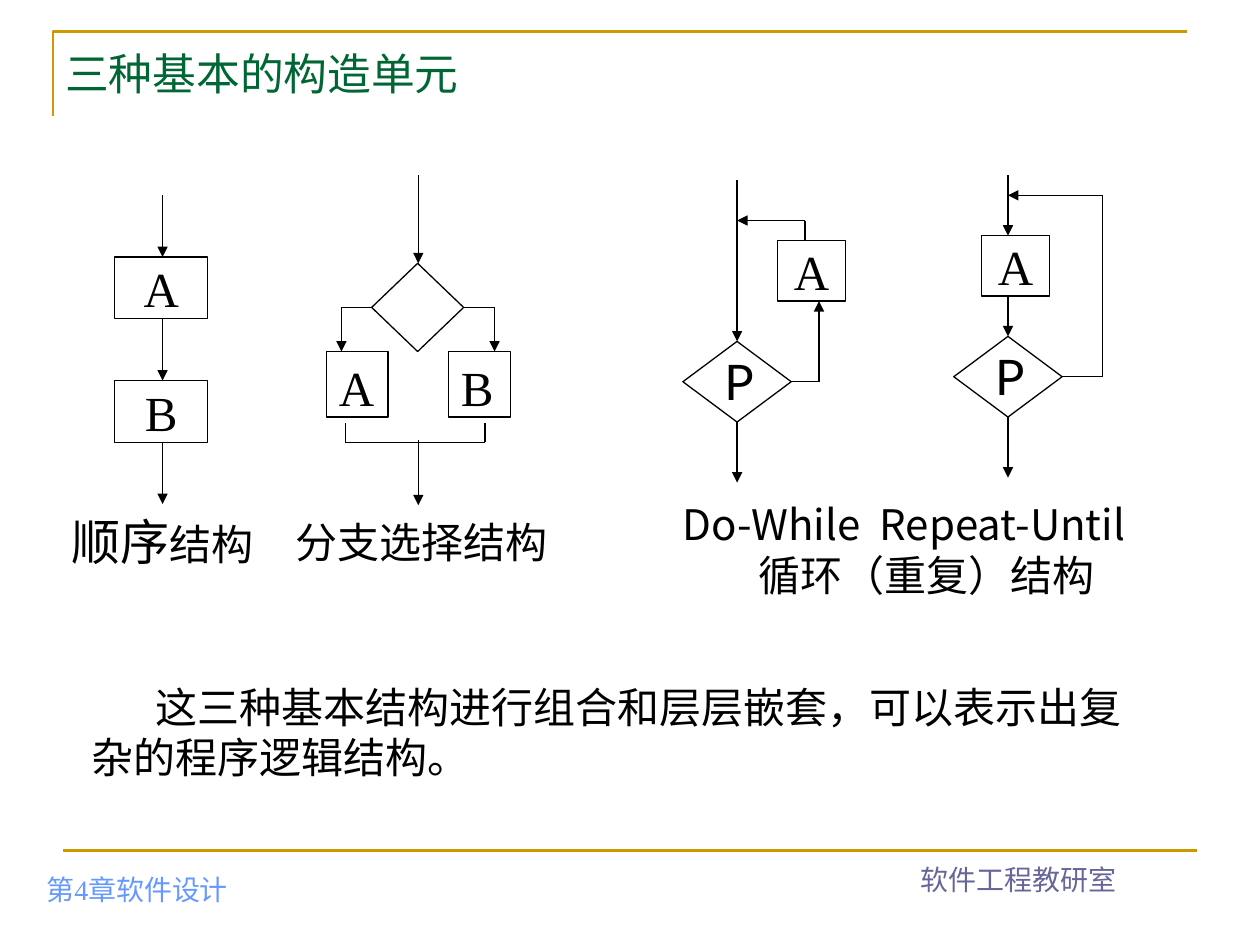
import pptx
import pptx.util
import pptx.dml.color
import pptx.enum.shapes
import pptx.enum.text
import pptx.oxml.ns
from itertools import pairwise
from lxml import etree

RGBColor = pptx.dml.color.RGBColor
GOLD = RGBColor(0xCC, 0x99, 0x00)
GREEN = RGBColor(0x00, 0x66, 0x33)
BLUE = RGBColor(0x66, 0x99, 0xFF)
VIOLET = RGBColor(0x66, 0x66, 0x99)
BLACK = RGBColor(0, 0, 0)

SERIF, SANS, LATO = "Times New Roman", "Noto Sans CJK SC", "Lato"
SHAPE = pptx.enum.shapes.MSO_SHAPE
ALIGN = pptx.enum.text.PP_ALIGN
ANCHOR = pptx.enum.text.MSO_ANCHOR
Pt = pptx.util.Pt

WIDTH, HEIGHT = pptx.util.Inches(10), pptx.util.Inches(7.5)
COLUMNS, ROWS = 100, 75


def col(n):
    return round(WIDTH * n / COLUMNS)


def row(n):
    return round(HEIGHT * n / ROWS)


def area(left, top, width, height):
    return col(left), row(top), col(width), row(height)


def add_effect_free(connector):
    etree.SubElement(connector._element.spPr, pptx.oxml.ns.qn("a:effectLst"))


def apply(target, values):
    for name, value in values.items():
        setattr(target, name, value)


def write_run(paragraph, words, size, face, color, gap=None):
    """Add a run; gap is extra character spacing in points."""
    run = paragraph.add_run()
    run.text = words
    apply(run.font, {"size": Pt(size), "name": face})
    run.font.color.rgb = color
    properties = run._r.get_or_add_rPr()
    east_asian = etree.SubElement(properties, pptx.oxml.ns.qn("a:ea"))
    east_asian.set("typeface", SANS)
    if gap:
        properties.set("spc", str(round(gap * 100)))


def fill_frame(shape, paragraphs, anchor=ANCHOR.TOP, align=ALIGN.LEFT, **layout):
    """Write paragraphs, each a list of run tuples."""
    frame = shape.text_frame
    apply(frame, {"word_wrap": True, "vertical_anchor": anchor})
    for index, runs in enumerate(paragraphs):
        paragraph = frame.add_paragraph() if index else frame.paragraphs[0]
        apply(paragraph, {"alignment": align, **layout})
        for run in runs:
            write_run(paragraph, *run)
    return frame


def add_label(slide, place, paragraphs, **layout):
    label = slide.shapes.add_textbox(*area(*place))
    return fill_frame(label, paragraphs, **layout)


def add_node(slide, kind, place, letter=None, **layout):
    node = slide.shapes.add_shape(kind, *area(*place))
    node.shadow.inherit = False
    node.fill.background()
    node.line.color.rgb = BLACK
    node.line.width = Pt(0.75)
    if letter:
        fill_frame(node, [[(letter, 28, SERIF, BLACK)]], **layout)


def add_flow(slide, *points, arrow=True, color=BLACK, weight=0.75):
    """Join the points with straight lines, the last one arrowed."""
    for start, end in pairwise(points):
        line = slide.shapes.add_connector(
            pptx.enum.shapes.MSO_CONNECTOR.STRAIGHT,
            col(start[0]), row(start[1]), col(end[0]), row(end[1]))
        line.line.color.rgb = color
        line.line.width = Pt(weight)
        add_effect_free(line)
        if arrow and end == points[-1]:
            head = etree.SubElement(line.line._get_or_add_ln(),
                                    pptx.oxml.ns.qn("a:tailEnd"))
            head.set("type", "triangle")


def draw_frame(slide):
    builder = slide.shapes.build_freeform(col(4.2), row(9.2))
    builder.add_line_segments([(col(4.2), row(2.5)), (col(94.2), row(2.5))],
                              close=False)
    corner = builder.convert_to_shape()
    corner.shadow.inherit = False
    corner.fill.background()
    corner.line.color.rgb = GOLD
    corner.line.width = Pt(1.5)
    add_flow(slide, (5, 67.5), (95, 67.5), arrow=False, color=GOLD, weight=1.5)
    add_label(slide, (2.7, 67.4, 31.5, 5), [[("第4章软件设计", 16, SERIF, BLUE)]],
              anchor=ANCHOR.BOTTOM)
    add_label(slide, (65, 66.6, 31.7, 5), [[("软件工程教研室", 16, SERIF, VIOLET)]],
              anchor=ANCHOR.BOTTOM, align=ALIGN.CENTER)
    add_label(slide, (4.2, 3, 37.4, 5.6), [[("三种基本的构造单元", 25, SANS, GREEN)]],
              anchor=ANCHOR.MIDDLE)


def draw_sequence(slide):
    axis, top, step = 12.9, 15.5, 4.9
    for index, letter in enumerate("AB"):
        add_node(slide, SHAPE.RECTANGLE,
                 (9.1, top + (2 * index + 1) * step, 7.4, step), letter,
                 anchor=ANCHOR.MIDDLE, align=ALIGN.CENTER)
    for index in range(3):
        start = top + 2 * index * step
        add_flow(slide, (axis, start), (axis, start + step))
    add_label(slide, (2.7, 40.5, 20.4, 4.9),
              [[("顺序", 28, SERIF, BLACK), ("结构", 24, SERIF, BLACK)]],
              anchor=ANCHOR.MIDDLE, align=ALIGN.CENTER)


def draw_selection(slide):
    axis, middle = 33.2, 24.4
    add_node(slide, SHAPE.DIAMOND, (29.5, 20.9, 7.3, 7))
    add_flow(slide, (axis, 13.9), (axis, 20.9))
    branches = (("A", 25.9, 29.5, 27.1), ("B", 35.6, 36.8, 39.25))
    for letter, left, corner, drop in branches:
        add_node(slide, SHAPE.RECTANGLE, (left, 27.9, 4.9, 5.2), letter,
                 align=ALIGN.JUSTIFY)
        add_flow(slide, (corner, middle), (drop, middle), (drop, 27.9))
    add_flow(slide, (27.4, 33.6), (27.4, 35.1), (38.5, 35.1), (38.5, 33.6),
             arrow=False)
    add_flow(slide, (axis, 34.9), (axis, 40.1))
    add_label(slide, (22.5, 40.5, 27.5, 3.4), [[("分支选择结构", 24, SERIF, BLACK)]],
              align=ALIGN.JUSTIFY)


def draw_loop(slide, axis, test_top, action_place, flows):
    """Draw a loop: action A, test P, the exit arrow and its own flows."""
    add_node(slide, SHAPE.RECTANGLE, (*action_place, 5.4, 4.8), "A",
             anchor=ANCHOR.MIDDLE, align=ALIGN.CENTER)
    add_node(slide, SHAPE.DIAMOND, (axis - 4.3, test_top, 8.6, 6.4))
    add_label(slide, (axis - 2, test_top + 0.3, 5, 5.7),
              [[("P", 28, LATO, BLACK)]])
    add_flow(slide, (axis, test_top + 6.4), (axis, test_top + 11.2))
    for points in flows:
        add_flow(slide, *points)


def draw_loops(slide):
    draw_loop(slide, 58.5, 27.1, (61.7, 19.1), [
        [(58.5, 14.3), (58.5, 27.1)],
        [(62.8, 30.3), (65, 30.3), (65, 23.9)],
        [(63.9, 19.1), (63.9, 17.5), (58.5, 17.5)]])
    draw_loop(slide, 80, 26.7, (77.9, 18.7), [
        [(80, 13.9), (80, 18.7)],
        [(80, 23.5), (80, 26.7)],
        [(84.3, 29.9), (87.5, 29.9), (87.5, 15.5), (80, 15.5)]])
    style = (24, SANS, BLACK)
    caption = add_label(
        slide, (48.4, 39.1, 46.7, 10.2),
        [[("Do-While", *style), (" ", *style, 5.4), ("Repeat-Until", *style)],
         [("循环（重复）结构", *style)]],
        align=ALIGN.CENTER, line_spacing=Pt(28.8))
    caption.paragraphs[1]._p.get_or_add_pPr().set("marL", str(col(3.6)))


def draw_summary(slide):
    summary = add_label(
        slide, (6.3, 53.6, 86.3, 9),
        [[("这三种基本结构进行组合和层层嵌套，可以表示出复杂的程序逻辑结构。",
           24, SANS, BLACK)]], line_spacing=Pt(28.8))
    summary.paragraphs[0]._p.get_or_add_pPr().set("indent", str(col(5.1)))


def main():
    deck = pptx.Presentation()
    apply(deck, {"slide_width": WIDTH, "slide_height": HEIGHT})
    slide = deck.slides.add_slide(deck.slide_layouts[6])
    for draw in (draw_frame, draw_sequence, draw_selection, draw_loops,
                 draw_summary):
        draw(slide)
    deck.save("out.pptx")


if __name__ == "__main__":
    main()
